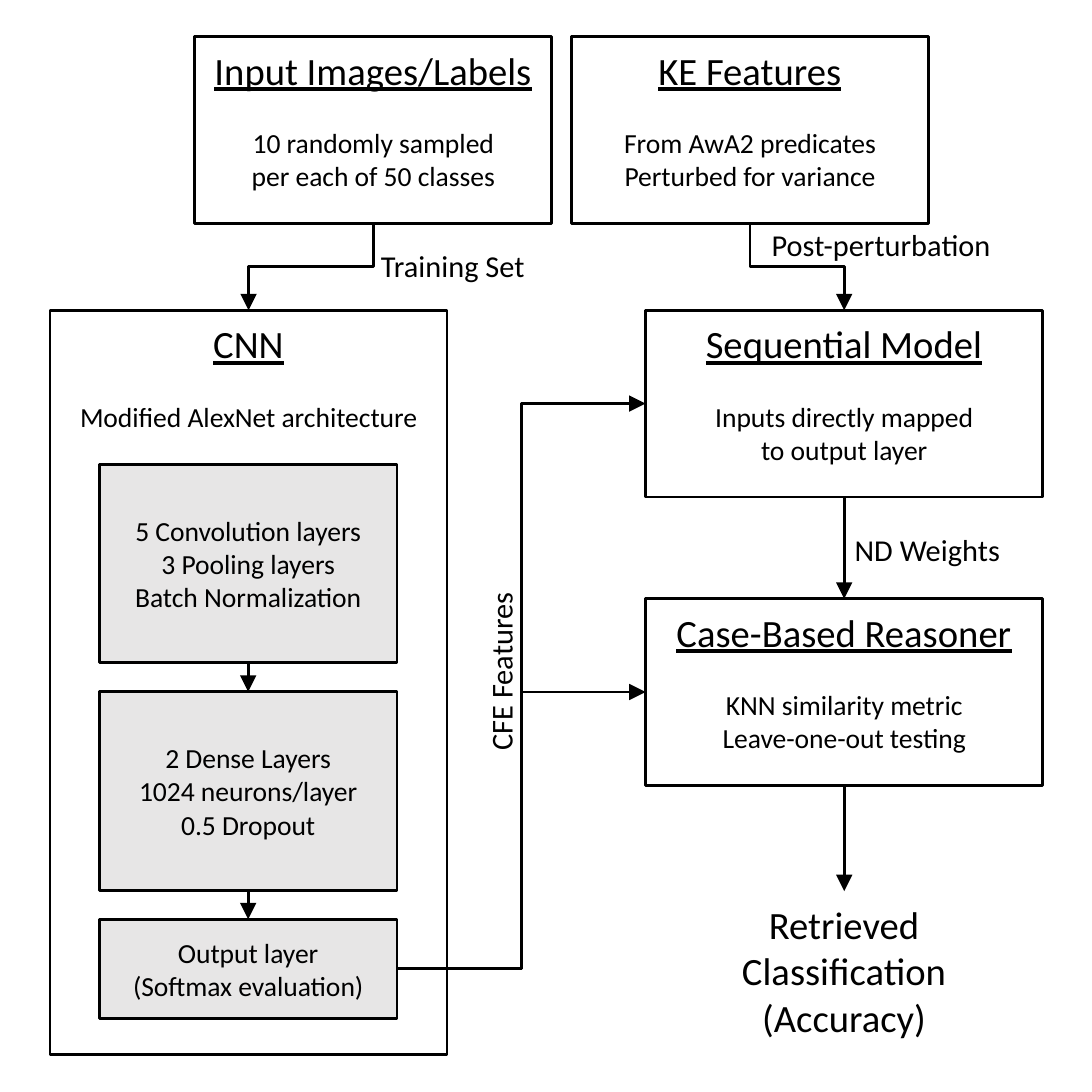
"""Build the slide that shows the CNN and case-based reasoning pipeline."""
from dataclasses import dataclass

from lxml.etree import SubElement
from pptx import Presentation
from pptx.dml.color import RGBColor
from pptx.enum.shapes import MSO_CONNECTOR as Link, MSO_SHAPE as Preset
from pptx.enum.text import MSO_ANCHOR as Anchor, PP_ALIGN as Align
from pptx.oxml.ns import qn
from pptx.shapes.autoshape import Shape
from pptx.shapes.connector import Connector
from pptx.shapes.shapetree import _BaseGroupShapes as ShapeTree
from pptx.util import Cm, Pt

BLACK = RGBColor(0x00, 0x00, 0x00)
WHITE = RGBColor(0xFF, 0xFF, 0xFF)
GRAY = RGBColor(0xE7, 0xE6, 0xE6)
FONT = "Calibri"
TITLE_SIZE, LABEL_SIZE, BODY_SIZE = 14, 11, 10
TOP, LEFT, BOTTOM, RIGHT = range(4)
SLIDE_SIDE = 13.97
BOX_HEIGHT = 2.39
MODEL_LEFT, MODEL_WIDTH = 8.26, 5.08
MODEL_TOP = 3.97
LAYER_TOP, LAYER_GAP = 5.94, 0.37


@dataclass(frozen=True)
class Box:
    """A titled box of the pipeline, in centimetres."""
    title: str
    lines: tuple[str, ...]
    left: float
    top: float
    width: float
    height: float = BOX_HEIGHT


@dataclass(frozen=True)
class Layer:
    """A stage inside the CNN box."""
    lines: tuple[str, ...]
    height: float


@dataclass(frozen=True)
class Label:
    """A free text, in centimetres."""
    text: str
    left: float
    top: float
    width: float
    height: float = 0.74
    size: int = LABEL_SIZE
    rotation: int = 0


IMAGES = Box("Input Images/Labels", ("10 randomly sampled", "per each of 50 classes"), 2.49, 0.47, 4.57)
FEATURES = Box("KE Features", ("From AwA2 predicates", "Perturbed for variance"), 7.31, 0.47, 4.57)
REASONER = Box("Case-Based Reasoner", ("KNN similarity metric", "Leave-one-out testing"),
               MODEL_LEFT, 7.66, MODEL_WIDTH)
CNN = Box("CNN", ("Modified AlexNet architecture",), 0.64, MODEL_TOP, MODEL_WIDTH, 9.52)
SEQUENTIAL = Box("Sequential Model", ("Inputs directly mapped", "to output layer"),
                 MODEL_LEFT, MODEL_TOP, MODEL_WIDTH)
LAYERS = (
    Layer(("5 Convolution layers", "3 Pooling layers", "Batch Normalization"), 2.54),
    Layer(("2 Dense Layers", "1024 neurons/layer", "0.5 Dropout"), 2.54),
    Layer(("Output layer", "(Softmax evaluation)"), 1.27),
)
RESULT = Label("Retrieved\nClassification\n(Accuracy)", 9.21, 11.4, 3.18, 2.06, TITLE_SIZE)
LABELS = (
    Label("CFE Features", 5.13, 8.22, 2.57, rotation=270),
    Label("ND Weights", 10.67, 6.67, 2.39),
    Label("Post-perturbation", 9.6, 2.77, 3.35),
    Label("Training Set", 4.6, 3.04, 2.39),
)


def write_text(shape: Shape, text: str, size: int) -> None:
    """Write centred black text into a shape."""
    shape.text_frame.text = text
    for paragraph in shape.text_frame.paragraphs:
        paragraph.alignment = Align.CENTER
        for run in paragraph.runs:
            run.font.name, run.font.size = FONT, Pt(size)
            run.font.color.rgb = BLACK


def draw_rectangle(shapes: ShapeTree, left: float, top: float, width: float, height: float,
                   fill: RGBColor, text: str, anchor: Anchor) -> Shape:
    """Draw an outlined rectangle with text."""
    shape = shapes.add_shape(Preset.RECTANGLE, Cm(left), Cm(top), Cm(width), Cm(height))
    shape.shadow.inherit = False
    shape.fill.solid()
    shape.fill.fore_color.rgb = fill
    shape.line.color.rgb, shape.line.width = BLACK, Pt(1)
    frame = shape.text_frame
    frame.vertical_anchor, frame.word_wrap = anchor, True
    frame.margin_left = frame.margin_right = Cm(0.2)
    write_text(shape, text, BODY_SIZE)
    return shape


def draw_box(shapes: ShapeTree, box: Box) -> Shape:
    """Draw a box with an underlined heading."""
    shape = draw_rectangle(shapes, box.left, box.top, box.width, box.height, WHITE,
                           "\n".join((box.title, *box.lines)), Anchor.TOP)
    heading, body = shape.text_frame.paragraphs[:2]
    heading.runs[0].font.size = Pt(TITLE_SIZE)
    heading.runs[0].font.underline = True
    body.space_before = Pt(12)
    return shape


def draw_label(shapes: ShapeTree, label: Label) -> Shape:
    """Draw a free text."""
    shape = shapes.add_textbox(Cm(label.left), Cm(label.top), Cm(label.width), Cm(label.height))
    shape.rotation = label.rotation
    shape.text_frame.word_wrap = False
    write_text(shape, label.text, label.size)
    return shape


def turn_upright(connector: Connector) -> None:
    """Turn an elbow so that it leaves and arrives vertically."""
    begin_x, begin_y = connector.begin_x, connector.begin_y
    end_x, end_y = connector.end_x, connector.end_y
    center_x, center_y = (begin_x + end_x) // 2, (begin_y + end_y) // 2
    connector.begin_x = center_x + begin_y - center_y
    connector.begin_y = center_y - begin_x + center_x
    connector.end_x = center_x + end_y - center_y
    connector.end_y = center_y - end_x + center_x
    connector._element.spPr.find(qn("a:xfrm")).set("rot", str(90 * 60000))


def connect(shapes: ShapeTree, source: Shape, target: Shape, kind: Link = Link.STRAIGHT,
            begin: int = BOTTOM, end: int = TOP) -> None:
    """Draw an arrow between the sides of two shapes."""
    connector = shapes.add_connector(kind, source.left, source.top, target.left, target.top)
    connector.begin_connect(source, begin)
    connector.end_connect(target, end)
    if kind == Link.ELBOW and begin == BOTTOM:
        turn_upright(connector)
    connector.line.color.rgb, connector.line.width = BLACK, Pt(1)
    SubElement(connector.line._get_or_add_ln(), qn("a:tailEnd"), type="triangle")
    SubElement(connector._element.spPr, qn("a:effectLst"))


def draw_cnn(shapes: ShapeTree) -> tuple[Shape, Shape]:
    """Draw the CNN box with its layers; return the box and the output layer."""
    box = draw_box(shapes, CNN)
    stages: list[Shape] = []
    top = LAYER_TOP
    for layer in LAYERS:
        stages.append(draw_rectangle(shapes, 1.27, top, 3.81, layer.height, GRAY,
                                     "\n".join(layer.lines), Anchor.MIDDLE))
        top += layer.height + LAYER_GAP
    for upper, lower in zip(stages, stages[1:]):
        connect(shapes, upper, lower)
    return box, stages[-1]


def main() -> None:
    """Build and save the presentation."""
    presentation = Presentation()
    presentation.slide_width = presentation.slide_height = Cm(SLIDE_SIDE)
    shapes = presentation.slides.add_slide(presentation.slide_layouts[6]).shapes
    images, features, reasoner = (draw_box(shapes, box) for box in (IMAGES, FEATURES, REASONER))
    cnn, output_layer = draw_cnn(shapes.add_group_shape().shapes)
    sequential = draw_box(shapes, SEQUENTIAL)
    result = draw_label(shapes, RESULT)
    for model in (reasoner, sequential):
        connect(shapes, output_layer, model, Link.ELBOW, RIGHT, LEFT)
    connect(shapes, images, cnn, Link.ELBOW)
    connect(shapes, features, sequential, Link.ELBOW)
    connect(shapes, sequential, reasoner)
    connect(shapes, reasoner, result)
    for label in LABELS:
        draw_label(shapes, label)
    presentation.save("out.pptx")


main()
